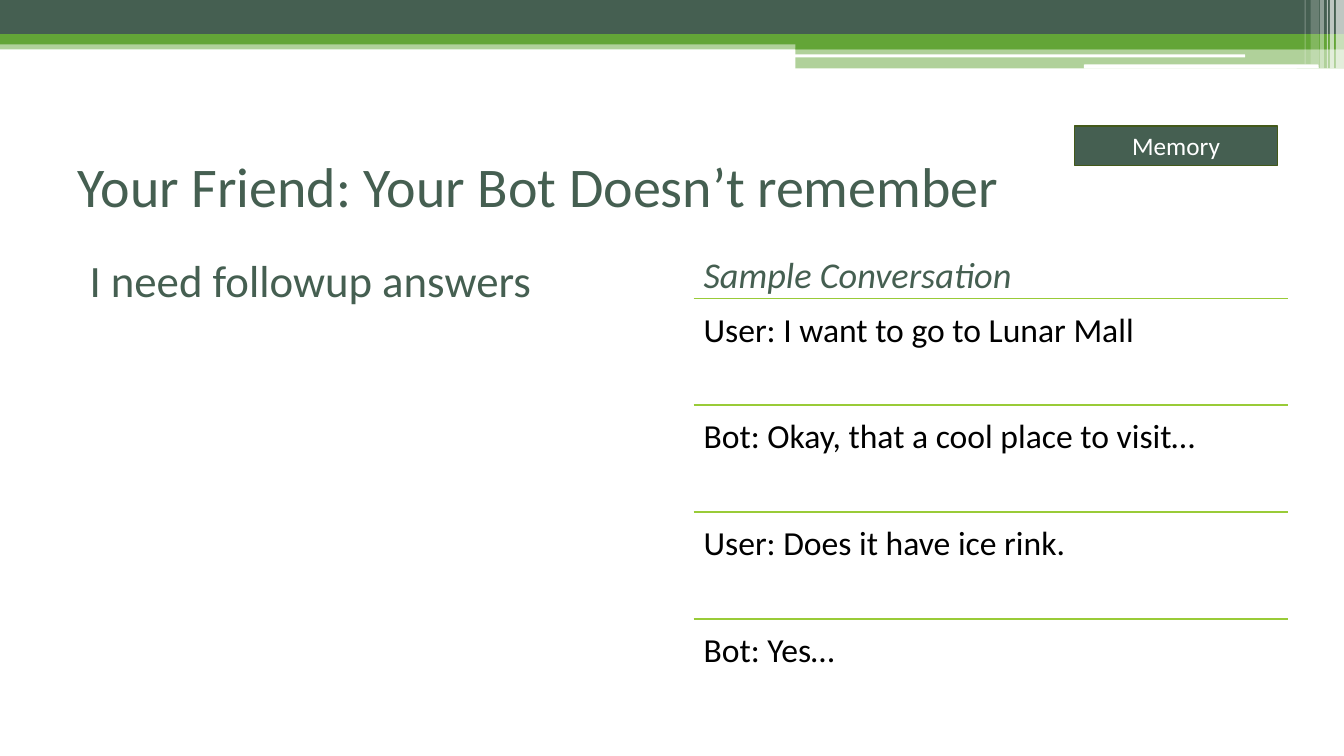
from lxml import etree
from pptx import Presentation
from pptx.dml.color import RGBColor
from pptx.enum import shapes, text
from pptx.oxml.ns import qn
from pptx.util import Inches, Pt

# Content
TITLE = "Your Friend: Your Bot Doesn’t remember"
NEED = "I need followup answers"
HEADING = "Sample Conversation"
TAG = "Memory"
CONVERSATION = [
    "User: I want to go to Lunar Mall",
    "Bot: Okay, that a cool place to visit…",
    "User: Does it have ice rink.",
    "Bot: Yes…",
]

FONT = "Calibri"
COLORS = {"dark": "455F51", "green": "63A537", "lime": "99CB38",
          "olive": "435919", "white": "FFFFFF", "black": "000000"}

# Header bands: left, top, width, height, colour, opacity in percent
BANDS = [
    (0, 0.4, 13.33, 0.09, "green", 50),
    (0, 0, 13.33, 0.34, "dark", 100),
    (0, 0.34, 13.33, 0.1, "green", 100),
    (7.89, 0.39, 5.44, 0.1, "green", 100),
    (7.89, 0.48, 5.44, 0.2, "green", 50),
]
# Rounded white strips: left, top, width, height
STRIPS = [(7.88, 0.54, 4.47, 0.03), (10.75, 0.64, 2.33, 0.04)]
# Pale stripes at the right edge: left, width, height, opacity
STRIPES = [
    (13.25, 0.08, 0.68, 65), (13.19, 0.04, 0.68, 65), (13.16, 0.01, 0.68, 60),
    (13.09, 0.04, 0.68, 40), (13, 0.08, 0.64, 20), (12.94, 0.01, 0.64, 30),
]
LIST_LEFT, LIST_TOP, LIST_WIDTH, ROW = 6.88, 2.96, 5.89, 1.06


def rgb(name):
    return RGBColor.from_string(COLORS[name])


def add_box(s, box, color, opacity=100, kind=shapes.MSO_SHAPE.RECTANGLE):
    sp = s.shapes.add_shape(kind, *map(Inches, box))
    sp.shadow.inherit = False
    sp.fill.solid()
    sp.fill.fore_color.rgb = rgb(color)
    sp.line.fill.background()
    if opacity < 100:
        clr = sp.fill._xPr.find(qn("a:solidFill"))[0]
        etree.SubElement(clr, qn("a:alpha")).set("val", str(opacity * 1000))
    return sp


def write(sp, words, size, color, italic=False, before=0, indent=0,
          anchor=text.MSO_ANCHOR.TOP, align=text.PP_ALIGN.LEFT):
    tf = sp.text_frame
    tf.word_wrap = True
    tf.vertical_anchor = anchor
    tf.text = words
    p = tf.paragraphs[0]
    p.alignment = align
    p.space_before = Pt(before)
    if indent:
        pPr = p._p.get_or_add_pPr()
        pPr.set("marL", str(Inches(indent)))
        pPr.set("indent", "0")
    r = p.runs[0]
    r.font.name, r.font.size, r.font.italic = FONT, Pt(size), italic
    r.font.color.rgb = rgb(color)
    return tf


def add_text(s, box, *args, **kwargs):
    return write(s.shapes.add_textbox(*map(Inches, box)), *args, **kwargs)


def add_rule(s, left, top, width):
    ln = s.shapes.add_connector(shapes.MSO_CONNECTOR.STRAIGHT, Inches(left),
                                Inches(top), Inches(left + width), Inches(top))
    ln.line.color.rgb = rgb("lime")
    ln.line.width = Pt(1)
    etree.SubElement(ln._element.spPr, qn("a:effectLst"))


def main():
    prs = Presentation()
    prs.slide_width, prs.slide_height = Inches(13.33), Inches(7.5)
    s = prs.slides.add_slide(prs.slide_layouts[6])

    # Header decoration
    for *box, color, opacity in BANDS:
        add_box(s, box, color, opacity)
    for box in STRIPS:
        add_box(s, box, "white", kind=shapes.MSO_SHAPE.ROUNDED_RECTANGLE)
    for left, width, height, opacity in STRIPES:
        add_box(s, (left, 0, width, height), "white", opacity)

    # Topic tag
    tag = add_box(s, (10.66, 1.25, 2.01, 0.39), "dark")
    tag.line.color.rgb = rgb("olive")
    tag.line.width = Pt(1)
    write(tag, TAG, 18, "white", anchor=text.MSO_ANCHOR.MIDDLE,
          align=text.PP_ALIGN.CENTER)

    # Title, request and list heading
    add_text(s, (0.67, 1.25, 12, 1.17), TITLE, 40, "dark",
             anchor=text.MSO_ANCHOR.MIDDLE)
    add_text(s, (0.67, 2.46, 12, 4.73), NEED, 32, "dark", before=3, indent=0.12)
    add_text(s, (6.76, 2.45, 6.57, 0.5), HEADING, 25.9, "dark", italic=True,
             before=3, indent=0.12)

    # Conversation rows, each under a rule
    for i, line in enumerate(CONVERSATION):
        top = LIST_TOP + i * ROW
        add_rule(s, LIST_LEFT, top, LIST_WIDTH)
        tf = add_text(s, (LIST_LEFT, top, LIST_WIDTH, ROW), line, 24, "black")
        tf.margin_top = tf.margin_bottom = Inches(0.1)

    prs.save("out.pptx")


if __name__ == "__main__":
    main()
